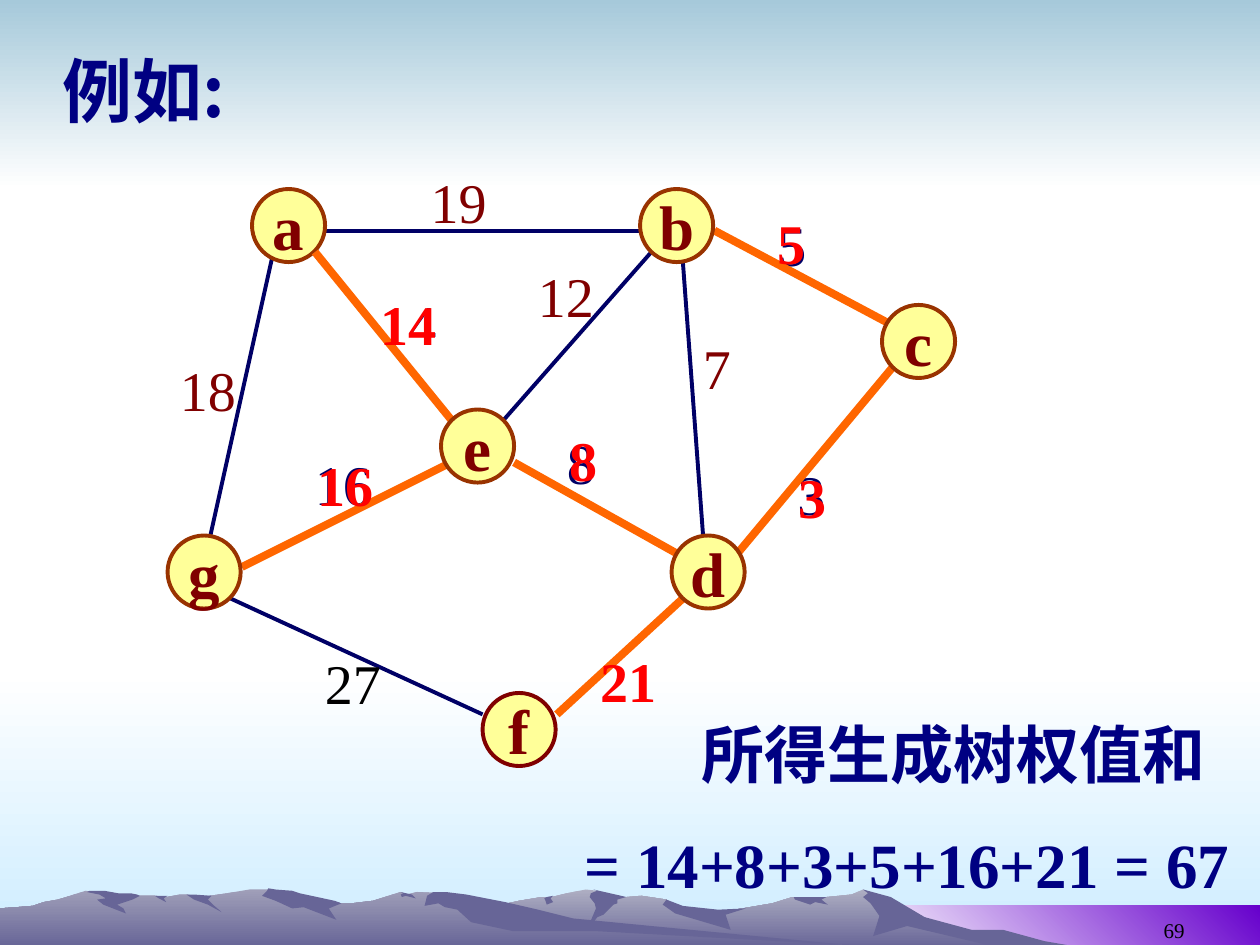
from pptx import Presentation
from pptx.dml.color import RGBColor
from pptx.enum.shapes import MSO_CONNECTOR, MSO_SHAPE
from pptx.enum.text import MSO_ANCHOR, MSO_AUTO_SIZE, PP_ALIGN
from pptx.oxml.xmlchemy import OxmlElement
from pptx.util import Inches, Pt

WHITE = RGBColor(0xFF, 0xFF, 0xFF)
BLACK = RGBColor(0x00, 0x00, 0x00)
SKY = RGBColor(0xA6, 0xC9, 0xDA)
ICE = RGBColor(0xCC, 0xEC, 0xFF)
VIOLET = RGBColor(0x66, 0x00, 0xCC)
MIST = RGBColor(0xAE, 0xAE, 0xC2)
HAZE = RGBColor(0x9F, 0x9E, 0xB8)
ROCK = RGBColor(0x67, 0x65, 0x97)
NAVY = RGBColor(0x00, 0x00, 0x66)
BLUE = RGBColor(0x00, 0x00, 0x82)
MAROON = RGBColor(0x80, 0x00, 0x00)
BROWN = RGBColor(0x99, 0x33, 0x00)
ORANGE = RGBColor(0xFF, 0x66, 0x00)
RED = RGBColor(0xFF, 0x00, 0x00)
YELLOW = RGBColor(0xFF, 0xFF, 0x99)
SERIF = "Times New Roman"
SANS = "Noto Sans CJK SC"

RIGHT = [(802, 41), (778, 35), (764, 33), (723, 20), (702, 7), (685, 1), (676, 5), (656, 7),
         (629, 7), (613, 12), (566, 20), (536, 16), (529, 9), (509, 6), (486, 8), (474, 2),
         (465, 1), (450, 4), (438, 7), (430, 7), (412, 10), (394, 14), (355, 20), (327, 26),
         (277, 40), (258, 47), (821, 47)]
LEFT = [(690, 47), (667, 45), (432, 27), (354, 4), (331, 3), (323, 5), (318, 3), (296, 10),
        (279, 12), (271, 12), (260, 10), (236, 12), (223, 3), (215, 1), (198, 1), (180, 4),
        (160, 7), (148, 5), (143, 5), (132, 7), (123, 6), (111, 6), (94, 7), (68, 2),
        (56, 6), (46, 9), (35, 11), (26, 14), (14, 15), (0, 16), (0, 47)]
CRAGS = [
    [(796, 33), (771, 33), (734, 23), (707, 7), (685, 1), (689, 4), (685, 7), (691, 12),
     (698, 22), (693, 38), (720, 30), (792, 47), (858, 47), (829, 42)],
    [(471, 1), (474, 2), (469, 4), (468, 7), (472, 12), (473, 16), (465, 35), (474, 23),
     (479, 21), (487, 13), (490, 12), (490, 9), (497, 7), (493, 6)],
    [(529, 9), (526, 13), (536, 20), (580, 33), (576, 21), (592, 16), (570, 17), (542, 14)],
    [(650, 7), (630, 7), (631, 9), (643, 13), (647, 11), (657, 13), (652, 9), (656, 7)],
    [(433, 10), (432, 8), (434, 7), (439, 6), (437, 8), (439, 11), (434, 13)],
]
FOLDS = [
    [(212, 2), (208, 6), (219, 10), (232, 16), (241, 15), (267, 25), (261, 16), (271, 12),
     (266, 10), (252, 7), (238, 4), (232, 2), (219, 1), (213, 0)],
    [(370, 5), (354, 3), (344, 3), (339, 6), (337, 14), (348, 12), (353, 15), (363, 17),
     (374, 27), (407, 34), (472, 34), (690, 46), (683, 46), (455, 24), (427, 17), (401, 11)],
    [(318, 5), (320, 4), (318, 3), (327, 5), (330, 8), (322, 6), (319, 7)],
    [(154, 5), (168, 6), (165, 9), (169, 13), (176, 19), (165, 13), (154, 9), (148, 5)],
    [(133, 6), (130, 8), (132, 11), (126, 8), (123, 6)],
    [(109, 5), (111, 6), (105, 9), (93, 13), (98, 16), (100, 20), (82, 13), (77, 9),
     (84, 8), (79, 5), (69, 3), (71, 2), (83, 2), (94, 4), (104, 4)],
]

NODES = {"a": (0.67, 0), "b": (3.75, 0), "g": (0, 2.75), "f": (2.5, 4),
         "e": (2.17, 1.75), "d": (4, 2.75), "c": (5.67, 0.92)}
EDGES = [(1.25, 0.33, 3.75, 0.33), (3.84, 0.5, 2.67, 1.83), (0.84, 0.5, 0.34, 2.75),
         (4.09, 0.58, 4.25, 2.75), (0.5, 3.25, 2.5, 4.17)]
TREE = [(1.17, 0.5, 2.25, 1.83), (2.75, 2.17, 4.09, 2.92), (5.75, 1.42, 4.5, 2.92),
        (4.34, 0.33, 5.75, 1.08), (0.59, 3, 2.25, 2.17), (4.09, 3.25, 3.09, 4.17)]
COSTS = [("19", 1.99, -0.22, MAROON), ("18", 0, 1.27, MAROON), ("27", 1.15, 3.6, BLACK),
         ("12", 2.84, 0.53, MAROON), ("7", 4.15, 1.1, MAROON),
         ("5", 4.75, 0.12, NAVY), ("14", 1.59, 0.75, NAVY), ("16", 1.07, 2.02, NAVY),
         ("8", 3.07, 1.85, NAVY), ("3", 4.9, 2.1, NAVY)]
PICKS = [("14", 1.59, 0.75), ("8", 3.09, 1.83), ("5", 4.74, 0.11),
         ("3", 4.91, 2.12), ("16", 1.09, 2.03), ("21", 3.34, 3.58)]


def set_text(frame, text, size, color, bold=False, face=SERIF):
    frame.text = text
    frame.word_wrap = False
    font = frame.paragraphs[0].runs[0].font
    font.size, font.bold, font.name = Pt(size), bold, face
    font.color.rgb = color
    east = OxmlElement("a:ea")
    east.set("typeface", SANS)
    font._element.find("{*}latin").addnext(east)


def add_text(slide, box, text, size, color, bold=False, face=SERIF):
    frame = slide.shapes.add_textbox(*map(Inches, box)).text_frame
    set_text(frame, text, size, color, bold, face)
    frame.auto_size = MSO_AUTO_SIZE.SHAPE_TO_FIT_TEXT
    return frame


def paint(shape, tones, angle=270):
    shape.shadow.inherit = False
    shape.line.fill.background()
    if len(tones) == 1:
        shape.fill.solid()
        shape.fill.fore_color.rgb = tones[0]
        return
    shape.fill.gradient()
    shape.fill.gradient_angle = angle
    for stop, tone, place in zip(shape.fill.gradient_stops, tones, (0, 1)):
        stop.color.rgb = tone
        stop.position = place


def add_band(slide, box, tones, angle=270):
    paint(slide.shapes.add_shape(MSO_SHAPE.RECTANGLE, *map(Inches, box)), tones, angle)


def add_ridge(slide, left, top, points, *tones):
    build = slide.shapes.build_freeform(*points[0], scale=Inches(0.01))
    build.add_line_segments(points[1:], close=True)
    paint(build.convert_to_shape(Inches(left), Inches(top)), tones)


def add_range(slide, left, top):
    add_ridge(slide, left, top, RIGHT, MIST, ROCK)
    for crag in CRAGS:
        add_ridge(slide, left, top, crag, ROCK)
    add_ridge(slide, left, top, LEFT, HAZE, ROCK)
    for fold in FOLDS:
        add_ridge(slide, left, top, fold, ROCK)


def add_edge(slide, left, top, ends, color, width):
    x1, y1, x2, y2 = ends
    line = slide.shapes.add_connector(
        MSO_CONNECTOR.STRAIGHT, Inches(left + x1), Inches(top + y1),
        Inches(left + x2), Inches(top + y2))
    line.line.color.rgb = color
    line.line.width = Pt(width)
    line._element.spPr.append(OxmlElement("a:effectLst"))


def add_node(slide, left, top, name):
    x, y = NODES[name]
    node = slide.shapes.add_shape(
        MSO_SHAPE.OVAL, *map(Inches, (left + x, top + y, 0.58, 0.58)))
    paint(node, [YELLOW])
    node.line.color.rgb = MAROON if name == "f" else BROWN
    node.line.width = Pt(2.25)
    set_text(node.text_frame, name, 36, MAROON, True)
    node.text_frame.vertical_anchor = MSO_ANCHOR.MIDDLE
    node.text_frame.paragraphs[0].alignment = PP_ALIGN.CENTER


def add_cost(slide, left, top, text, x, y, color, bold=False):
    wide = 0.19 + 0.23 * len(text)
    add_text(slide, (left + x, top + y, wide, 0.63), text, 32, color, bold)


def add_graph(slide, left, top):
    for ends in EDGES:
        add_edge(slide, left, top, ends, NAVY, 2.25)
    for cost in COSTS:
        add_cost(slide, left, top, *cost)
    add_node(slide, left, top, "a")
    for ends in TREE:
        add_edge(slide, left, top, ends, ORANGE, 4.5)
    for name in "bgfedc":
        add_node(slide, left, top, name)
    for pick in PICKS:
        add_cost(slide, left, top, *pick, RED, True)


def add_page(slide, box):
    frame = add_text(slide, box, "69", 12, BLACK)
    frame.auto_size = MSO_AUTO_SIZE.NONE
    frame.word_wrap = True
    frame.vertical_anchor = MSO_ANCHOR.BOTTOM
    frame.paragraphs[0].alignment = PP_ALIGN.RIGHT


def main():
    deck = Presentation()
    deck.slide_width, deck.slide_height = Inches(10), Inches(7.5)
    slide = deck.slides.add_slide(deck.slide_layouts[6])
    slide.background.fill.solid()
    slide.background.fill.fore_color.rgb = WHITE
    add_band(slide, (0, 5.33, 10, 2.17), (WHITE, ICE))
    add_band(slide, (0, 0, 10, 1.5), (SKY, WHITE))
    add_band(slide, (6.83, 7.19, 3.17, 0.33), (WHITE, VIOLET), 45)
    add_range(slide, 0, 7.05)
    add_page(slide, (7.17, 7.03, 2.33, 0.5))
    add_text(slide, (0.4, 0.33, 1.6, 0.77), "例如:", 40, BLUE, True, SANS)
    add_graph(slide, 1.33, 1.5)
    add_text(slide, (5.47, 5.63, 4.22, 0.7), "所得生成树权值和", 36, BLUE, True)
    add_text(slide, (4.54, 6.5, 5.32, 0.7), "= 14+8+3+5+16+21 = 67", 36, BLUE, True)
    deck.save("out.pptx")


if __name__ == "__main__":
    main()
